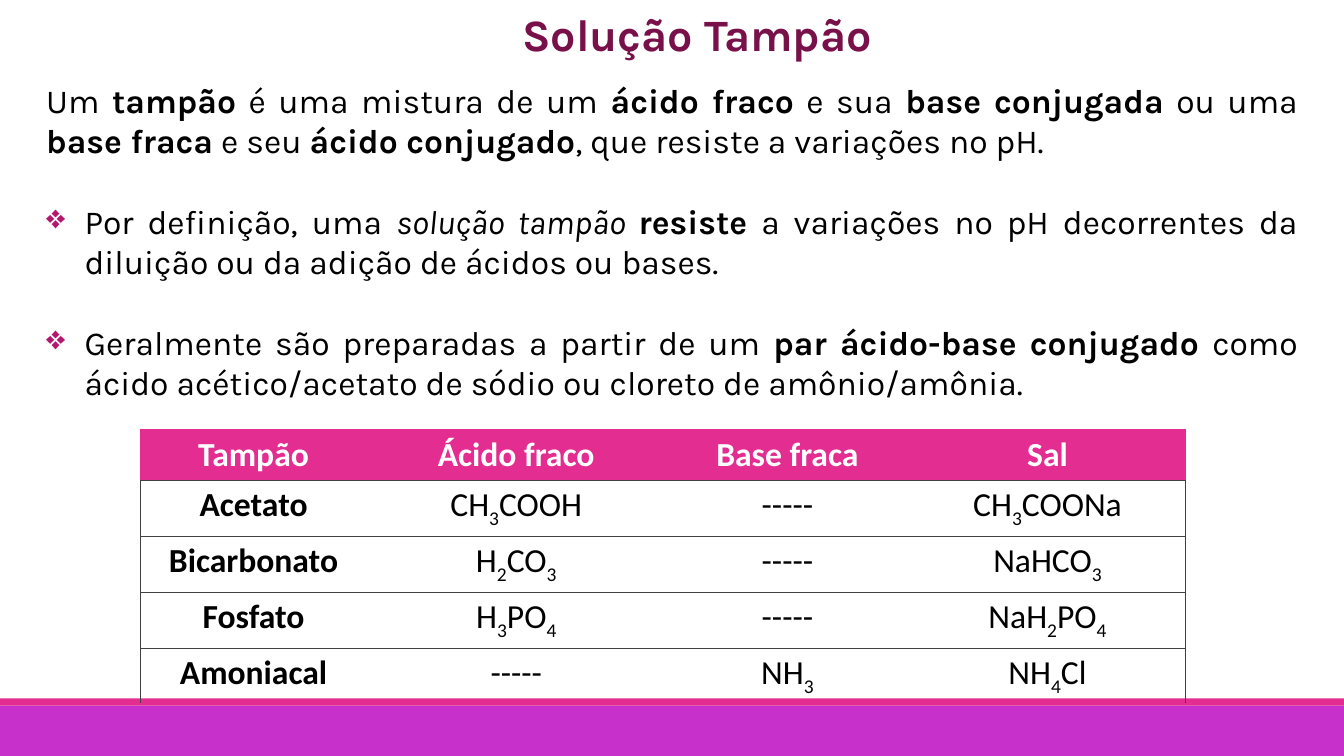
from itertools import groupby
from typing import NamedTuple, Optional

from lxml import etree
from pptx import Presentation
from pptx import util as u
from pptx.dml.color import RGBColor
from pptx.enum import shapes, text
from pptx.oxml import ns

PINK, PURPLE, WINE = "E32D91", "C830CC", "781049"
BULLET_COLOR, BLACK, WHITE, RULE = "B4186E", "000000", "FFFFFF", "404040"


class Bar(NamedTuple):
    top: float
    height: float
    color: str


class Span(NamedTuple):
    words: str
    bold: bool = False
    italic: bool = False


class Statement(NamedTuple):
    spans: list[Span]
    bulleted: bool = True


class Buffer(NamedTuple):
    name: str
    acid: str
    base: str
    salt: str


BARS = [Bar(7, 0.5, PURPLE), Bar(6.93, 0.07, PINK)]

STATEMENTS = [
    Statement([
        Span("Um "), Span("tampão", bold=True),
        Span(" é uma mistura de um "), Span("ácido fraco", bold=True),
        Span(" e sua "), Span("base conjugada", bold=True),
        Span(" ou uma "), Span("base fraca", bold=True),
        Span(" e seu "), Span("ácido conjugado", bold=True),
        Span(", que resiste a variações no pH."),
    ], bulleted=False),
    Statement([
        Span("Por definição, uma "), Span("solução tampão ", italic=True),
        Span("resiste", bold=True),
        Span(" a variações no pH decorrentes da diluição ou da adição de ácidos ou bases."),
    ]),
    Statement([
        Span("Geralmente são preparadas a partir de um "),
        Span("par ácido-base conjugado ", bold=True),
        Span("como ácido acético/acetato de sódio ou cloreto de amônio/amônia."),
    ]),
]

HEADINGS = Buffer("Tampão", "Ácido fraco", "Base fraca", "Sal")
NONE = "-----"
BUFFERS = [
    Buffer("Acetato", "CH3COOH", NONE, "CH3COONa"),
    Buffer("Bicarbonato", "H2CO3", NONE, "NaHCO3"),
    Buffer("Fosfato", "H3PO4", NONE, "NaH2PO4"),
    Buffer("Amoniacal", NONE, "NH3", "NH4Cl"),
]
COLUMN_WIDTHS = [2.25, 2.96, 2.42, 2.74]


def rgb(color: str) -> RGBColor:
    return RGBColor.from_string(color)


def add_text(paragraph, words: str, *, size: float = 24, font: str = "Karla",
             color: str = BLACK, bold: bool = False, italic: bool = False,
             subscript: bool = False) -> None:
    run = paragraph.add_run()
    run.text = words
    run.font.size = u.Pt(size)
    run.font.name = font
    run.font.color.rgb = rgb(color)
    run.font.bold = bold
    run.font.italic = italic
    if subscript:
        run._r.get_or_add_rPr().set("baseline", "-25000")


def add_frame(slide, left: float, top: float, width: float, height: float):
    frame = slide.shapes.add_textbox(
        u.Inches(left), u.Inches(top), u.Inches(width), u.Inches(height)).text_frame
    frame.word_wrap = True
    frame.auto_size = text.MSO_AUTO_SIZE.SHAPE_TO_FIT_TEXT
    return frame


def add_bar(slide, bar: Bar, width: int) -> None:
    strip = slide.shapes.add_shape(
        shapes.MSO_SHAPE.RECTANGLE, 0, u.Inches(bar.top), width, u.Inches(bar.height))
    strip.shadow.inherit = False
    strip.fill.solid()
    strip.fill.fore_color.rgb = rgb(bar.color)
    strip.line.fill.background()


def add_title(slide, words: str) -> None:
    title = add_frame(slide, 0, 0.02, 13.33, 0.64).paragraphs[0]
    title.level = 1
    title.alignment = text.PP_ALIGN.CENTER
    properties = title._p.get_or_add_pPr()
    properties.set("marL", str(u.Inches(0.5)))
    properties.set("indent", "0")
    add_text(title, words, size=32, color=WINE, bold=True)


def set_bullet(paragraph) -> None:
    properties = paragraph._p.get_or_add_pPr()
    properties.set("marL", str(u.Inches(0.38)))
    properties.set("indent", str(u.Inches(-0.38)))
    color = etree.SubElement(properties, ns.qn("a:buClr"))
    etree.SubElement(color, ns.qn("a:srgbClr"), val=BULLET_COLOR)
    etree.SubElement(properties, ns.qn("a:buChar"), char="❖")


def add_statements(slide, statements: list[Statement]) -> None:
    frame = add_frame(slide, 0.36, 0.74, 12.61, 3.33)
    for index, statement in enumerate(statements):
        paragraph = frame.add_paragraph() if index else frame.paragraphs[0]
        paragraph.alignment = text.PP_ALIGN.JUSTIFY
        if index:
            paragraph.space_before = u.Pt(28.8)
        if statement.bulleted:
            set_bullet(paragraph)
        for span in statement.spans:
            add_text(paragraph, span.words, bold=span.bold, italic=span.italic)


def set_border(cell, side: str, color: Optional[str]) -> None:
    line = etree.SubElement(cell._tc.get_or_add_tcPr(), ns.qn(f"a:ln{side}"),
                            w=str(u.Pt(0.5)))
    if color is None:
        etree.SubElement(line, ns.qn("a:noFill"))
    else:
        fill = etree.SubElement(line, ns.qn("a:solidFill"))
        etree.SubElement(fill, ns.qn("a:srgbClr"), val=color)


def fill_cell(cell, words: str, *, heading: bool, first: bool, last: bool,
              bottom: bool) -> None:
    edge = PINK if heading else RULE
    set_border(cell, "L", edge if first else None)
    set_border(cell, "R", edge if last else None)
    set_border(cell, "T", edge)
    set_border(cell, "B", PINK if bottom else RULE)
    if heading:
        cell.fill.solid()
        cell.fill.fore_color.rgb = rgb(PINK)
        if not first:
            cell.vertical_anchor = text.MSO_ANCHOR.MIDDLE
    else:
        cell.fill.background()
    paragraph = cell.text_frame.paragraphs[0]
    paragraph.alignment = text.PP_ALIGN.CENTER
    for is_digit, letters in groupby(words, str.isdigit):
        add_text(paragraph, "".join(letters), font="Calibri",
                 color=WHITE if heading else BLACK,
                 bold=heading or first, subscript=is_digit)


def add_buffer_table(slide, buffers: list[Buffer]) -> None:
    rows = [HEADINGS, *buffers]
    holder = slide.shapes.add_table(
        len(rows), len(COLUMN_WIDTHS), u.Inches(1.39), u.Inches(4.26),
        u.Inches(sum(COLUMN_WIDTHS)), u.Inches(2.5))
    table = holder.table
    table.horz_banding = False
    for column, width in zip(table.columns, COLUMN_WIDTHS):
        column.width = u.Inches(width)
    for r, entry in enumerate(rows):
        table.rows[r].height = u.Inches(0.4)
        for c, words in enumerate(entry):
            fill_cell(table.cell(r, c), words, heading=r == 0, first=c == 0,
                      last=c == len(entry) - 1, bottom=r == len(rows) - 1)
    holder.height = u.Inches(2.5)


def main() -> None:
    deck = Presentation()
    deck.slide_width = u.Inches(13.33)
    deck.slide_height = u.Inches(7.5)
    slide = deck.slides.add_slide(deck.slide_layouts[6])
    for bar in BARS:
        add_bar(slide, bar, deck.slide_width)
    add_title(slide, "Solução Tampão")
    add_statements(slide, STATEMENTS)
    add_buffer_table(slide, BUFFERS)
    deck.save("out.pptx")


if __name__ == "__main__":
    main()
